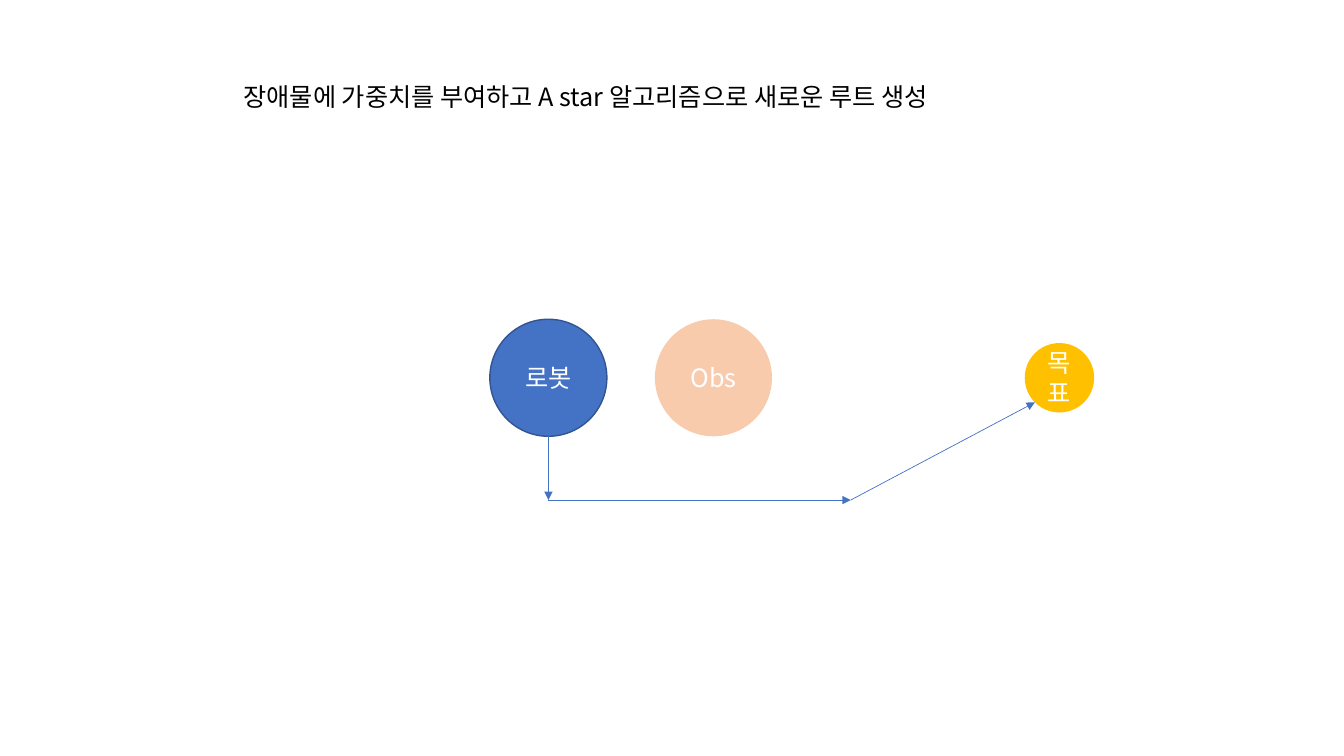
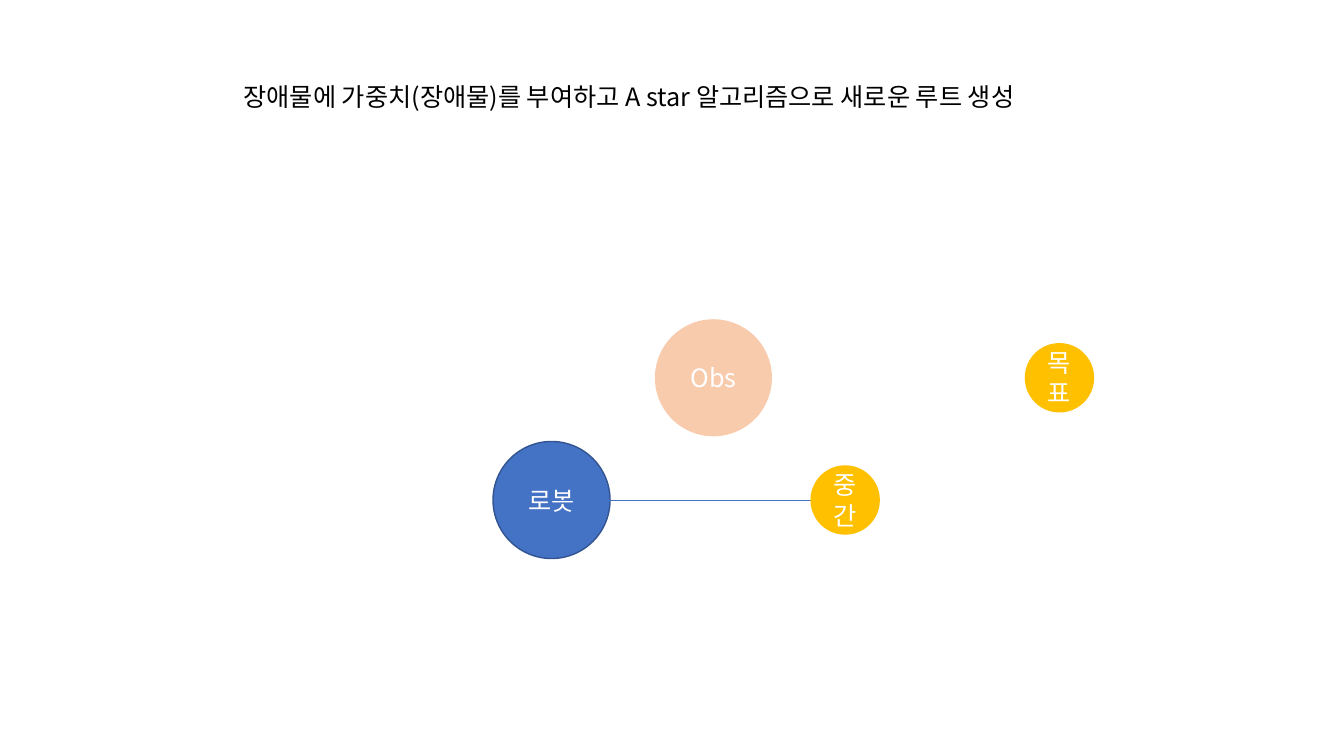
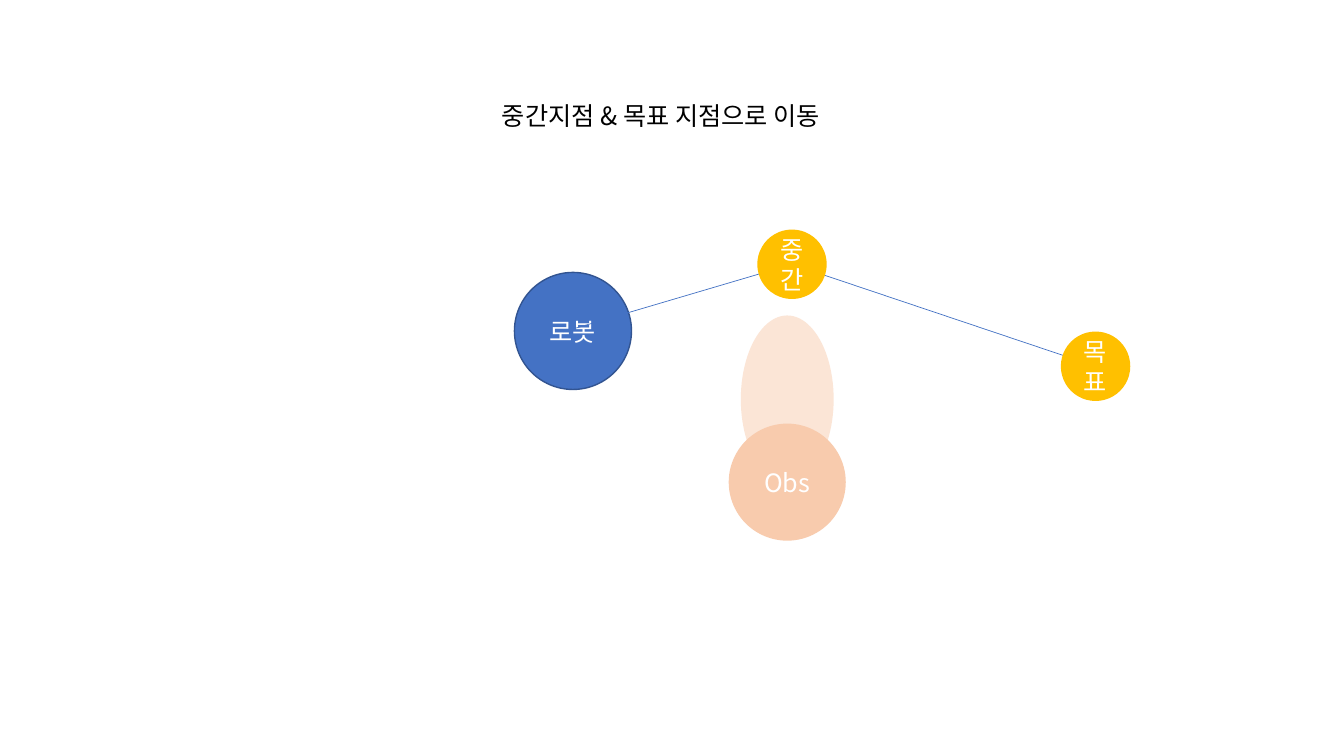
from dataclasses import dataclass
from math import sqrt

from lxml import etree
from pptx import Presentation
from pptx.dml.color import RGBColor
from pptx.enum.shapes import MSO_CONNECTOR, MSO_SHAPE
from pptx.enum.text import MSO_ANCHOR, MSO_AUTO_SIZE, PP_ALIGN
from pptx.oxml.ns import qn
from pptx.util import Cm, Pt

OVAL = MSO_SHAPE.OVAL
LINE = MSO_CONNECTOR.STRAIGHT
LEFT = PP_ALIGN.LEFT
MID = PP_ALIGN.CENTER
CORE = MSO_ANCHOR.MIDDLE
GROW = MSO_AUTO_SIZE.SHAPE_TO_FIT_TEXT


@dataclass(frozen=True)
class Theme:
    font: str = "Noto Sans CJK KR"
    size: float = 18
    ink: str = "000000"
    white: str = "FFFFFF"
    blue: str = "4472C4"
    edge: str = "325491"
    gold: str = "FFC000"
    peach: str = "F8CBAD"
    pale: str = "FBE5D6"
    rim: float = 1
    thin: float = 0.5
    big: float = 2.95
    small: float = 1.75


THEME = Theme()


def rgb(code):
    return RGBColor.from_string(code)


def write(frame, text, color=THEME.ink, size=THEME.size, align=LEFT):
    frame.word_wrap = True
    para = frame.paragraphs[0]
    para.alignment = align
    run = para.add_run()
    run.text = text
    font = run.font
    font.name, font.size = THEME.font, Pt(size)
    font.color.rgb = rgb(color)
    east = etree.SubElement(run._r.get_or_add_rPr(), qn("a:ea"))
    east.set("typeface", THEME.font)


def title(slide, text, left, top, width):
    box = slide.shapes.add_textbox(Cm(left), Cm(top), Cm(width), Cm(1.02))
    write(box.text_frame, text)
    box.text_frame.auto_size = GROW


def oval(slide, spot, width, height, fill, edge=None, text=None):
    x, y = spot
    shape = slide.shapes.add_shape(
        OVAL, Cm(x - width / 2), Cm(y - height / 2), Cm(width), Cm(height))
    shape.shadow.inherit = False
    shape.fill.solid()
    shape.fill.fore_color.rgb = rgb(fill)
    if edge:
        shape.line.color.rgb = rgb(edge)
        shape.line.width = Pt(THEME.rim)
    else:
        shape.line.fill.background()
    if text:
        shape.text_frame.vertical_anchor = CORE
        write(shape.text_frame, text, color=THEME.white, align=MID)


def robot(slide, spot):
    oval(slide, spot, THEME.big, THEME.big, THEME.blue, THEME.edge, "로봇")


def block(slide, spot):
    oval(slide, spot, THEME.big, THEME.big, THEME.peach, text="Obs")


def point(slide, spot, text):
    oval(slide, spot, THEME.small, THEME.small, THEME.gold, text=text)


def route(slide, *spots):
    for start, end in zip(spots, spots[1:]):
        ends = [Cm(v) for v in (*start, *end)]
        arrow = slide.shapes.add_connector(LINE, *ends)
        arrow.line.color.rgb = rgb(THEME.blue)
        arrow.line.width = Pt(THEME.thin)
        tip = etree.SubElement(arrow.line._get_or_add_ln(), qn("a:tailEnd"))
        tip.set("type", "triangle")
        etree.SubElement(arrow._element.spPr, qn("a:effectLst"))


def main():
    deck = Presentation()
    deck.slide_width, deck.slide_height = Cm(33.87), Cm(19.05)
    plan, move, reach = [
        deck.slides.add_slide(deck.slide_layouts[6]) for _ in range(3)]

    home, goal, wall = (13.82, 9.52), (26.7, 9.52), (17.98, 9.52)
    turn, bend = (home[0], 12.6), (21.44, 12.6)
    scenes = [
        (plan, home,
         "장애물에 가중치를 부여하고 A star 알고리즘으로 새로운 루트 생성"),
        (move, (13.9, turn[1]),
         "장애물에 가중치(장애물)를 부여하고 A star 알고리즘으로 새로운 루트 생성"),
    ]
    for slide, start, head in scenes:
        robot(slide, start)
        point(slide, goal, "목표")
        block(slide, wall)
        title(slide, head, 5.89, 1.93, 23.34)

    side = THEME.small / 2 / sqrt(2)
    route(plan, (home[0], home[1] + THEME.big / 2), turn, bend,
          (goal[0] - side, goal[1] + side))

    route(move, turn, bend)
    point(move, (21.3, 12.6), "중간")

    via, last = (19.96, 6.66), (27.61, 9.23)
    oval(reach, (19.84, 10.06), 2.34, 4.22, THEME.pale)
    robot(reach, (14.44, 8.34))
    block(reach, (19.84, 12.15))
    title(reach, "중간지점 & 목표 지점으로 이동", 12.4, 2.41, 9.98)
    route(reach, (14.2, 8.36), via, last)
    point(reach, via, "중간")
    point(reach, last, "목표")

    deck.save("out.pptx")


if __name__ == "__main__":
    main()
